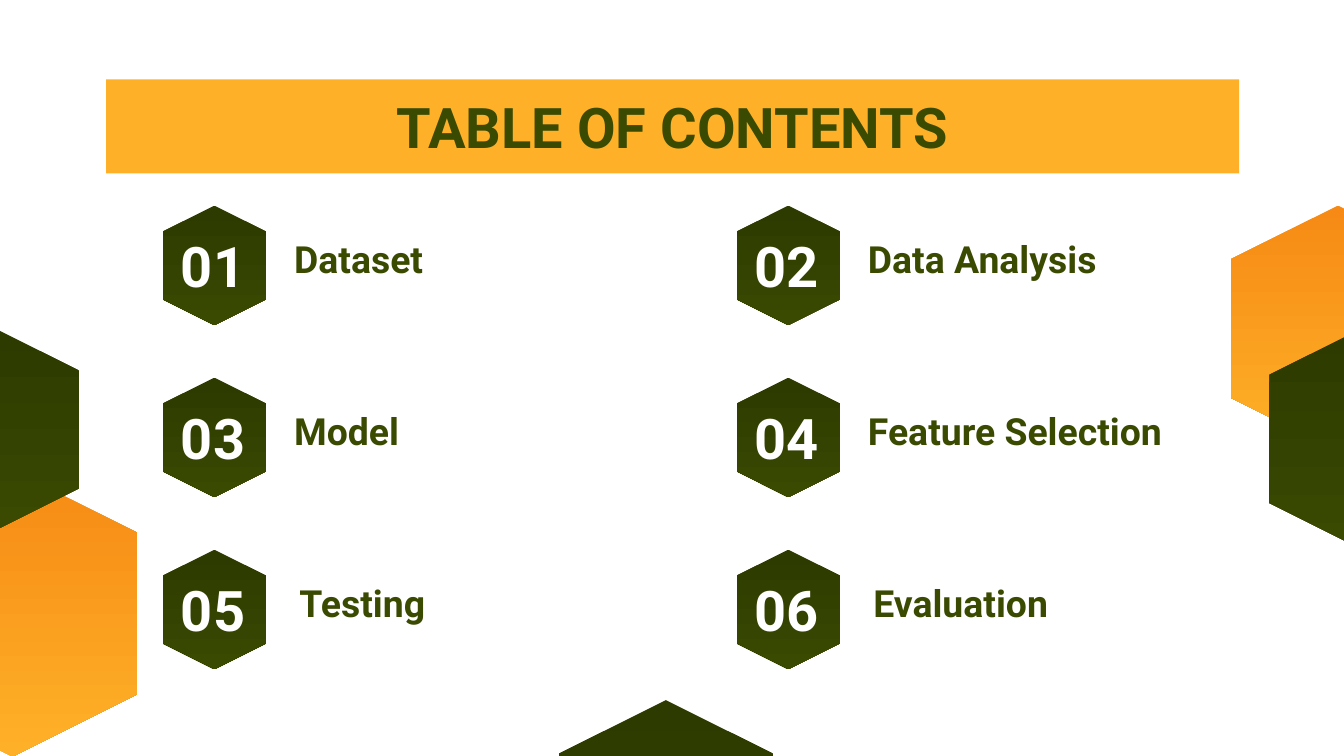
from dataclasses import dataclass

from pptx import Presentation
from pptx.dml.color import RGBColor
from pptx.enum.shapes import MSO_SHAPE
from pptx.enum.text import MSO_ANCHOR, PP_ALIGN
from pptx.shapes.autoshape import Shape
from pptx.slide import Slide
from pptx.util import Inches, Pt

WHITE = RGBColor(0xFF, 0xFF, 0xFF)
AMBER = RGBColor(0xFE, 0xB1, 0x28)
ORANGE = RGBColor(0xF6, 0x8A, 0x14)
OLIVE = RGBColor(0x3A, 0x4A, 0x01)
DARK = RGBColor(0x2D, 0x3A, 0x00)
WARM = (ORANGE, AMBER)
GREEN = (DARK, OLIVE)
FONT = "Roboto"
WIDTH = Inches(10)
HEIGHT = Inches(5.625)
COLS = 2
COL_GAP = 42.7
ROW_GAP = 12.8


@dataclass(frozen=True)
class Box:
    """A frame in hundredths of the slide's width."""

    left: float
    top: float
    wide: float
    tall: float

    def shift(self, col: int, row: int, nudge: float = 0) -> "Box":
        """Move the frame to a cell of the contents grid."""
        return Box(self.left + col * COL_GAP + nudge, self.top + row * ROW_GAP,
                   self.wide, self.tall)

    def frame(self) -> tuple[int, ...]:
        """Give the frame in slide units."""
        return tuple(round(WIDTH * part / 100)
                     for part in (self.left, self.top, self.wide, self.tall))


@dataclass(frozen=True)
class Decor:
    """A background hexagon with its two gradient colours."""

    box: Box
    tones: tuple[RGBColor, RGBColor]


@dataclass(frozen=True)
class Topic:
    """A line of the contents with its sideways offset."""

    name: str
    nudge: float = 0


DECOR = (
    Decor(Box(-9.7, 36.4, 21.3, 18.5), WARM),
    Decor(Box(40.4, 53.3, 18.3, 15.9), GREEN),
    Decor(Box(90.4, 16.5, 18.3, 15.9), WARM),
    Decor(Box(93.3, 25.4, 16.8, 14.5), GREEN),
    Decor(Box(-8.6, 25.2, 15.5, 13.5), GREEN),
)
TOPICS = (
    Topic("Dataset"), Topic("Data Analysis"),
    Topic("Model"), Topic("Feature Selection"),
    Topic("Testing", 0.4), Topic("Evaluation", 0.4),
)
BANNER = Box(7.9, 5.9, 84.3, 7)
BADGE = Box(11.5, 15.9, 8.9, 7.7)
NUMBER = Box(10.9, 16.8, 9.9, 5.8)
LABEL = Box(20.9, 17.5, 25.4, 4.4)


def add_hex(slide: Slide, box: Box, tones: tuple[RGBColor, RGBColor]) -> None:
    """Draw an upright hexagon shaded from top to bottom."""
    shape = slide.shapes.add_shape(MSO_SHAPE.HEXAGON, *box.frame())
    shape.rotation = 90
    shape.shadow.inherit = False
    shape.line.fill.background()
    shape.fill.gradient()
    shape.fill.gradient_angle = 0
    for stop, tone in zip(shape.fill.gradient_stops, tones):
        stop.color.rgb = tone


def set_text(shape: Shape, text: str, size: int, color: RGBColor,
             align: PP_ALIGN, anchor: MSO_ANCHOR) -> None:
    """Fill a shape with one bold line of text."""
    frame = shape.text_frame
    frame.text = text
    frame.word_wrap = True
    frame.vertical_anchor = anchor
    frame.margin_left = frame.margin_right = Inches(0.1)
    frame.margin_top = frame.margin_bottom = Inches(0.1)
    line = frame.paragraphs[0]
    line.alignment = align
    font = line.runs[0].font
    font.name, font.size, font.bold = FONT, Pt(size), True
    font.color.rgb = color


def add_banner(slide: Slide, text: str) -> None:
    """Draw the title bar."""
    bar = slide.shapes.add_shape(MSO_SHAPE.RECTANGLE, *BANNER.frame())
    bar.shadow.inherit = False
    bar.fill.solid()
    bar.fill.fore_color.rgb = AMBER
    bar.line.fill.background()
    set_text(bar, text, 30, OLIVE, PP_ALIGN.CENTER, MSO_ANCHOR.TOP)


def add_topic(slide: Slide, index: int, topic: Topic) -> None:
    """Draw one numbered badge and its label."""
    row, col = divmod(index, COLS)
    add_hex(slide, BADGE.shift(col, row), GREEN)
    number = slide.shapes.add_textbox(*NUMBER.shift(col, row).frame())
    set_text(number, f"{index + 1:02}", 30, WHITE,
             PP_ALIGN.CENTER, MSO_ANCHOR.MIDDLE)
    label = slide.shapes.add_textbox(*LABEL.shift(col, row, topic.nudge).frame())
    set_text(label, topic.name, 20, OLIVE, PP_ALIGN.LEFT, MSO_ANCHOR.BOTTOM)


def main() -> None:
    """Build and save the contents slide."""
    deck = Presentation()
    deck.slide_width, deck.slide_height = WIDTH, HEIGHT
    slide = deck.slides.add_slide(deck.slide_layouts[6])
    for decor in DECOR:
        add_hex(slide, decor.box, decor.tones)
    add_banner(slide, "TABLE OF CONTENTS")
    for index, topic in enumerate(TOPICS):
        add_topic(slide, index, topic)
    deck.save("out.pptx")


if __name__ == "__main__":
    main()
